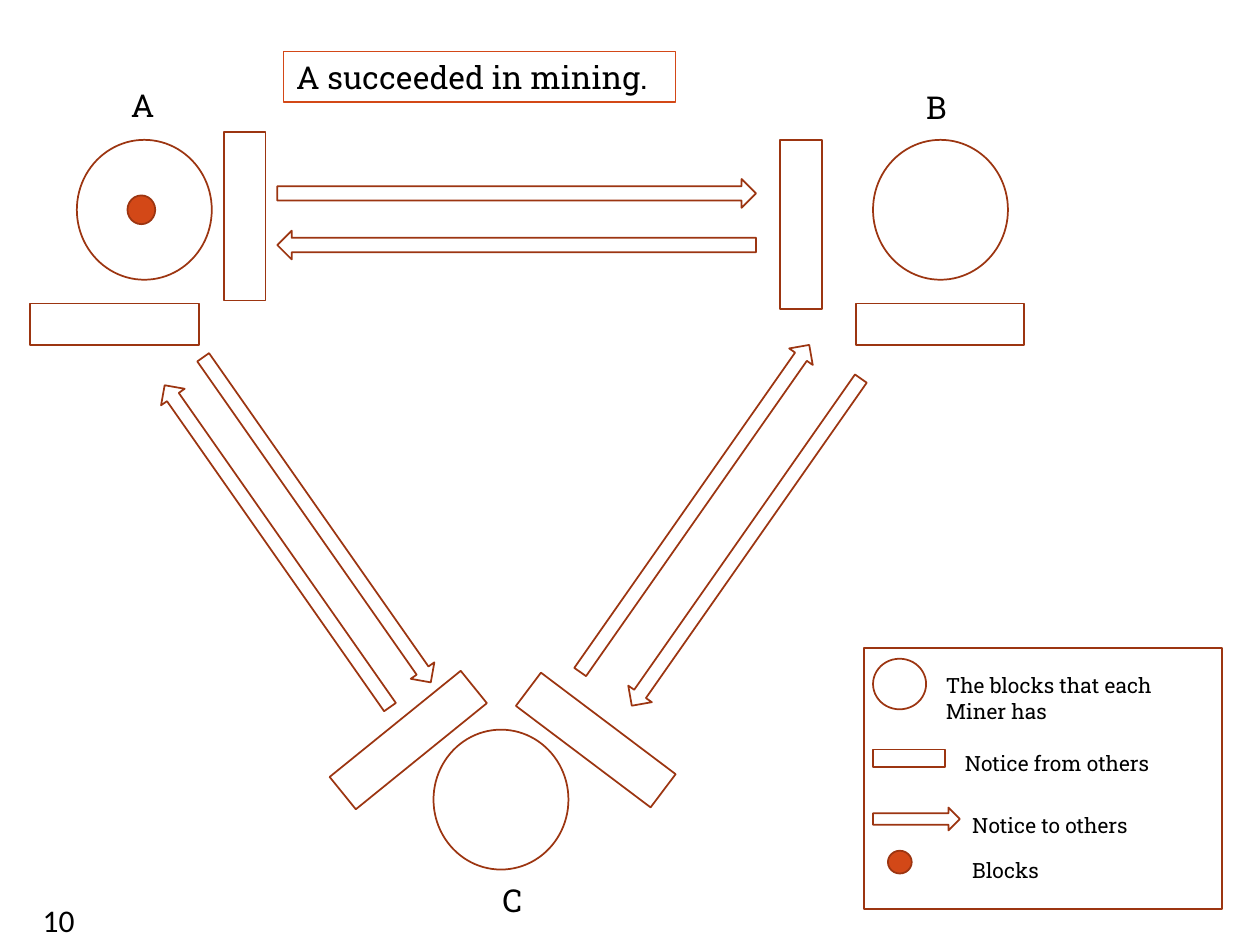
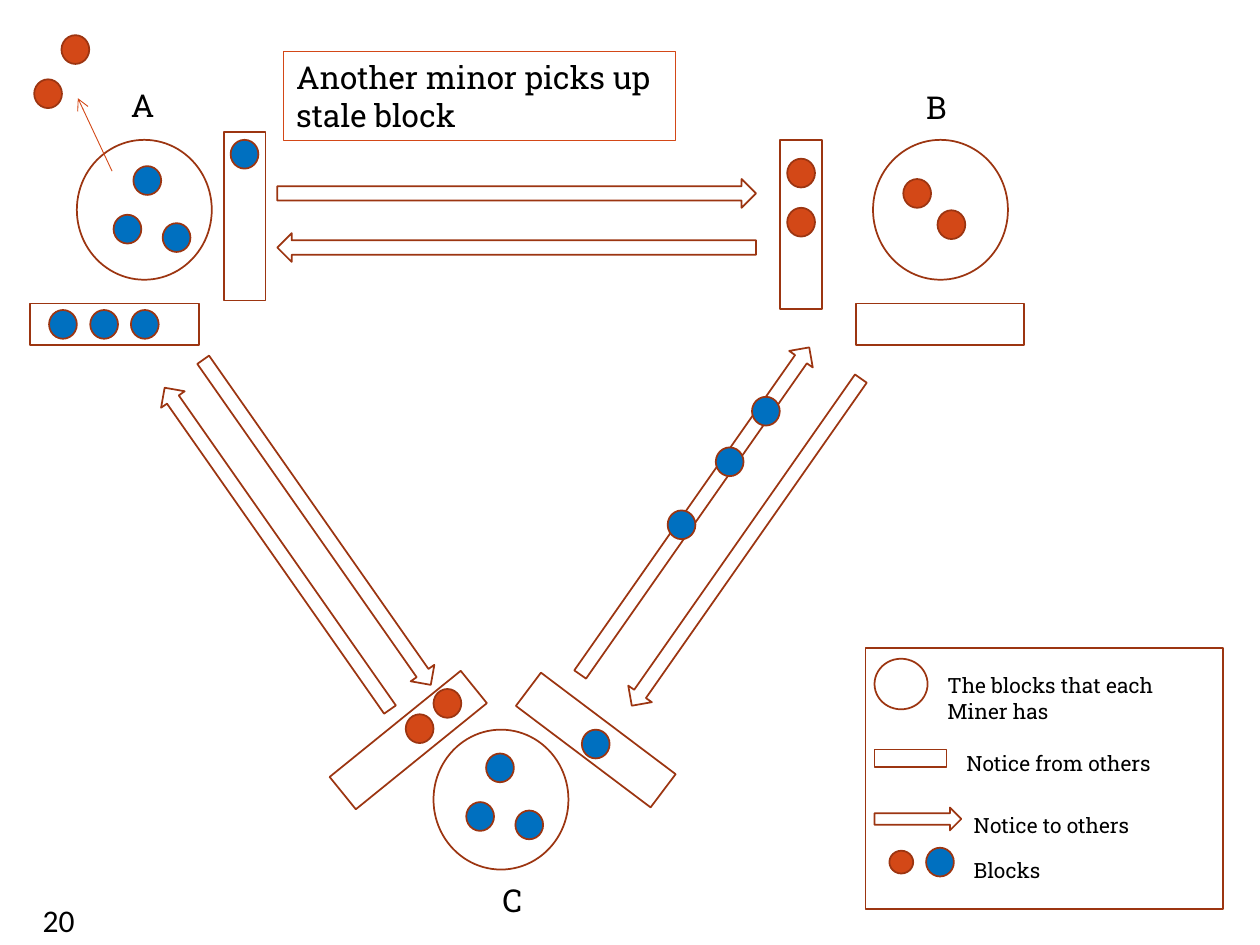
from lxml.etree import SubElement
from pptx import Presentation
from pptx.dml.color import RGBColor
from pptx.enum.shapes import MSO_CONNECTOR, MSO_SHAPE
from pptx.enum.text import MSO_ANCHOR, MSO_AUTO_SIZE, PP_ALIGN
from pptx.oxml.ns import qn
from pptx.util import Cm, Pt

OUTLINE, ORANGE, BLUE, BLACK = "9C3511", "D34817", "0070C0", "000000"
SLAB, NUMBER_FONT = "Roboto Slab", "Calibri"

MINERS = {"A": (1.55, 2.82), "B": (17.6, 2.82), "C": (8.74, 14.71)}
LABELS = {"A": (2.39, 1.6), "B": (18.42, 1.65), "C": (9.88, 17.63)}
QUEUES = [(14.45, 4.11, 90), (3.23, 3.94, 90), (17.25, 6.12, 0),
          (10.31, 14.5, 37), (0.61, 6.12, 0), (6.53, 14.5, 321)]
FIXED_ARROWS = [(5.59, 3.61, 9.65, 0), (11.02, 10.64, 8.05, 125)]
SHIFTED_ARROWS = [(5.59, 4.65, 9.65, 180), (9.98, 9.96, 8.05, 305),
                  (1.63, 10.72, 7.92, 235), (2.39, 10.19, 8, 55)]
LEGEND_TEXTS = [("The blocks that each Miner has", 1.4, 13.44, 5.74, 1.27),
                ("Notice from others", 1.78, 15.01, 5.56, 0.76),
                ("Notice to others", 1.93, 16.26, 4.37, 0.76),
                ("Blocks", 1.93, 17.17, 3.66, 0.76)]

STALE_BLOCKS = [(8.74, 13.89), (8.18, 14.4), (18.21, 3.61), (18.9, 4.24),
                (15.87, 3.2), (15.87, 4.19), (0.69, 1.6), (1.24, 0.71)]
TRIO_TOPS = [(2.69, 3.35), (9.8, 15.19)]
TRIO_OFFSETS = [(0, 0), (-0.4, 0.98), (0.59, 1.15)]
NEW_BLOCKS = [(4.65, 2.82), (11.73, 14.71), (18.67, 17.09),
              (0.99, 6.25), (1.82, 6.25), (2.64, 6.25),
              (15.16, 8), (14.43, 9.02), (13.46, 10.29)]
NEW_BLOCKS += [(x + dx, y + dy) for x, y in TRIO_TOPS for dx, dy in TRIO_OFFSETS]


def color(value):
    """Turn a hex string into a colour."""
    return RGBColor.from_string(value)


class Sketch:
    """Draw the mining diagram's elements on the current slide."""

    def __init__(self):
        """Open a deck with 4:3 pages."""
        self.deck = Presentation()
        self.deck.slide_width, self.deck.slide_height = Cm(25.4), Cm(19.05)
        self.shapes = None

    def start_page(self):
        """Add a blank page and draw on it."""
        page = self.deck.slides.add_slide(self.deck.slide_layouts[6])
        self.shapes = page.shapes

    def shape(self, kind, x, y, width, height, turn=0, fill=None, line=OUTLINE, weight=1):
        """Add an outlined preset shape."""
        shape = self.shapes.add_shape(kind, Cm(x), Cm(y), Cm(width), Cm(height))
        shape.shadow.inherit = False
        shape.rotation = turn
        if fill:
            shape.fill.solid()
            shape.fill.fore_color.rgb = color(fill)
        else:
            shape.fill.background()
        shape.line.color.rgb = color(line)
        shape.line.width = Pt(weight)
        return shape

    def set_text(self, box, text, size, font=SLAB):
        """Put left-aligned text in a shape or box."""
        frame = box.text_frame
        frame.text = text
        frame.word_wrap = True
        frame.auto_size = MSO_AUTO_SIZE.SHAPE_TO_FIT_TEXT
        frame.vertical_anchor = MSO_ANCHOR.TOP
        para = frame.paragraphs[0]
        para.alignment = PP_ALIGN.LEFT
        for span in para.runs:
            span.font.name = font
            span.font.size = Pt(size)
            span.font.color.rgb = color(BLACK)

    def text(self, text, x, y, width, height, size=18, font=SLAB):
        """Add a text box."""
        box = self.shapes.add_textbox(Cm(x), Cm(y), Cm(width), Cm(height))
        self.set_text(box, text, size, font)

    def caption(self, text, height):
        """Add the framed statement at the top."""
        box = self.shape(MSO_SHAPE.RECTANGLE, 5.72, 1.04, 7.9, height, line=ORANGE, weight=0.75)
        self.set_text(box, text, 18)

    def blocks(self, places, fill):
        """Add a block dot at each place."""
        for x, y in places:
            self.shape(MSO_SHAPE.OVAL, x, y, 0.56, 0.58, fill=fill)

    def pointer(self, start, end):
        """Add a thin line with an open arrowhead."""
        connector = self.shapes.add_connector(
            MSO_CONNECTOR.STRAIGHT, *(Cm(value) for value in start + end))
        connector.line.color.rgb = color(ORANGE)
        connector.line.width = Pt(0.5)
        properties = connector._element.spPr
        SubElement(properties.find(qn("a:ln")), qn("a:tailEnd"), type="arrow")
        SubElement(properties, qn("a:effectLst"))

    def network(self, shift):
        """Add miners, notice queues and the arrows between them."""
        for x, y in MINERS.values():
            self.shape(MSO_SHAPE.OVAL, x, y, 2.72, 2.82)
        for x, y, turn in QUEUES:
            self.shape(MSO_SHAPE.RECTANGLE, x, y, 3.4, 0.84, turn)
        shifted = [(x, y + shift, length, turn) for x, y, length, turn in SHIFTED_ARROWS]
        for x, y, length, turn in FIXED_ARROWS + shifted:
            self.shape(MSO_SHAPE.RIGHT_ARROW, x, y, length, 0.58, turn)
        for name, (x, y) in LABELS.items():
            self.text(name, x, y, 1.07, 1.02)

    def legend(self, left):
        """Add the grouped key to the symbols."""
        page_shapes = self.shapes
        self.shapes = page_shapes.add_group_shape().shapes
        symbol_left = left + 0.18
        self.shape(MSO_SHAPE.OVAL, symbol_left, 13.28, 1.07, 1.02)
        self.shape(MSO_SHAPE.RECTANGLE, symbol_left, 15.11, 1.45, 0.36)
        self.shape(MSO_SHAPE.RIGHT_ARROW, symbol_left, 16.28, 1.75, 0.46)
        for text, offset, y, width, height in LEGEND_TEXTS:
            self.text(text, left + offset, y, width, height, size=12)
        self.shape(MSO_SHAPE.RECTANGLE, left, 13.06, 7.21, 5.26)
        self.shape(MSO_SHAPE.OVAL, left + 0.48, 17.15, 0.48, 0.46, fill=ORANGE)
        self.shapes = page_shapes

    def scene(self, number, caption, caption_height, legend_left, shift=0):
        """Start a page with everything the scenes share."""
        self.start_page()
        self.network(shift)
        self.legend(legend_left)
        self.text(number, 0.61, 18.03, 2.03, 1.02, font=NUMBER_FONT)
        self.caption(caption, caption_height)


def main():
    """Build both scenes and save the deck."""
    sketch = Sketch()
    sketch.scene("10", "A succeeded in mining.", 1.02, 17.42)
    sketch.blocks([(2.57, 3.94)], ORANGE)

    sketch.scene("20", "Another minor picks up stale block", 1.8, 17.45, shift=0.05)
    sketch.blocks(STALE_BLOCKS, ORANGE)
    sketch.blocks(NEW_BLOCKS, BLUE)
    sketch.pointer((2.26, 3.45), (1.57, 1.98))
    sketch.deck.save("out.pptx")


if __name__ == "__main__":
    main()
